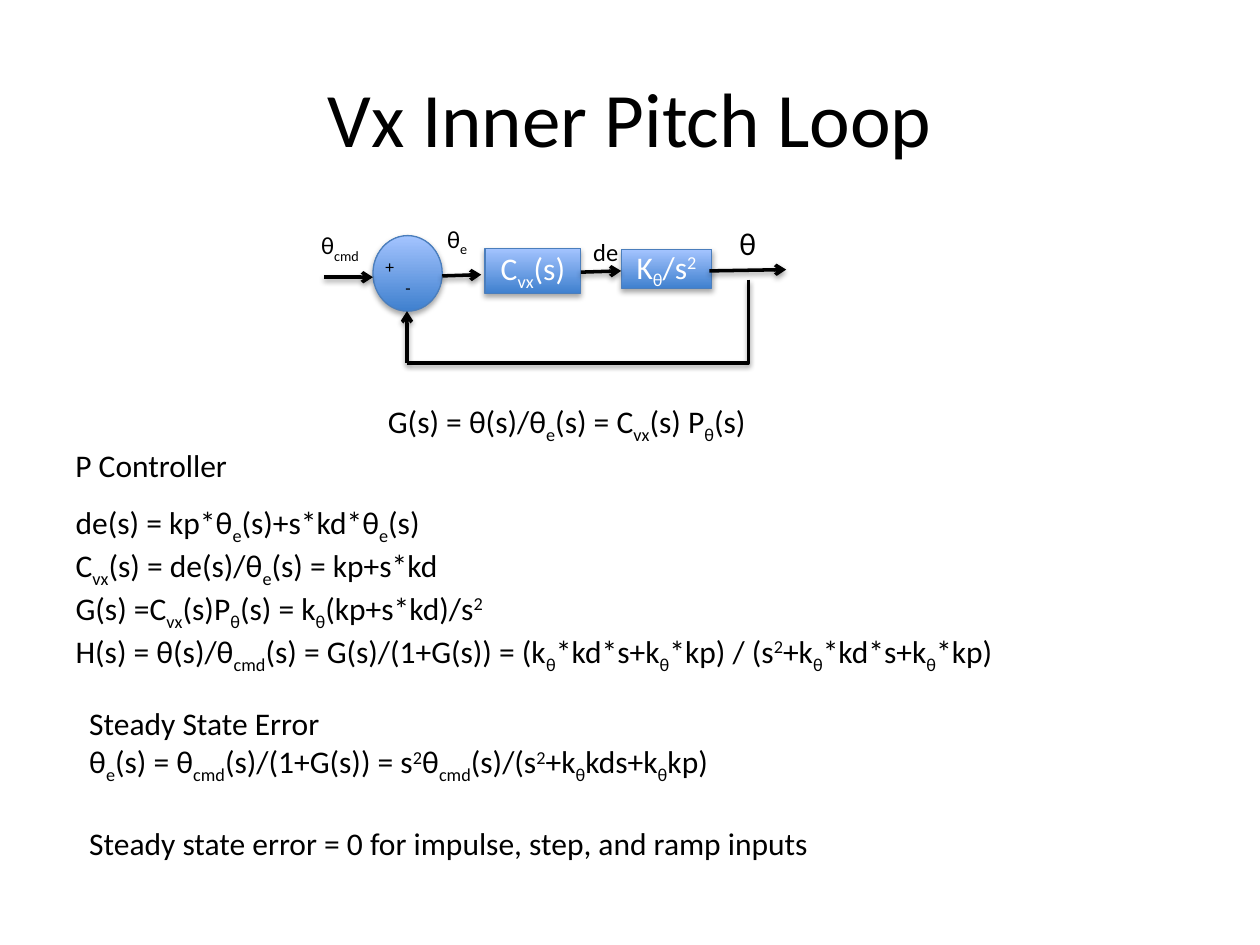
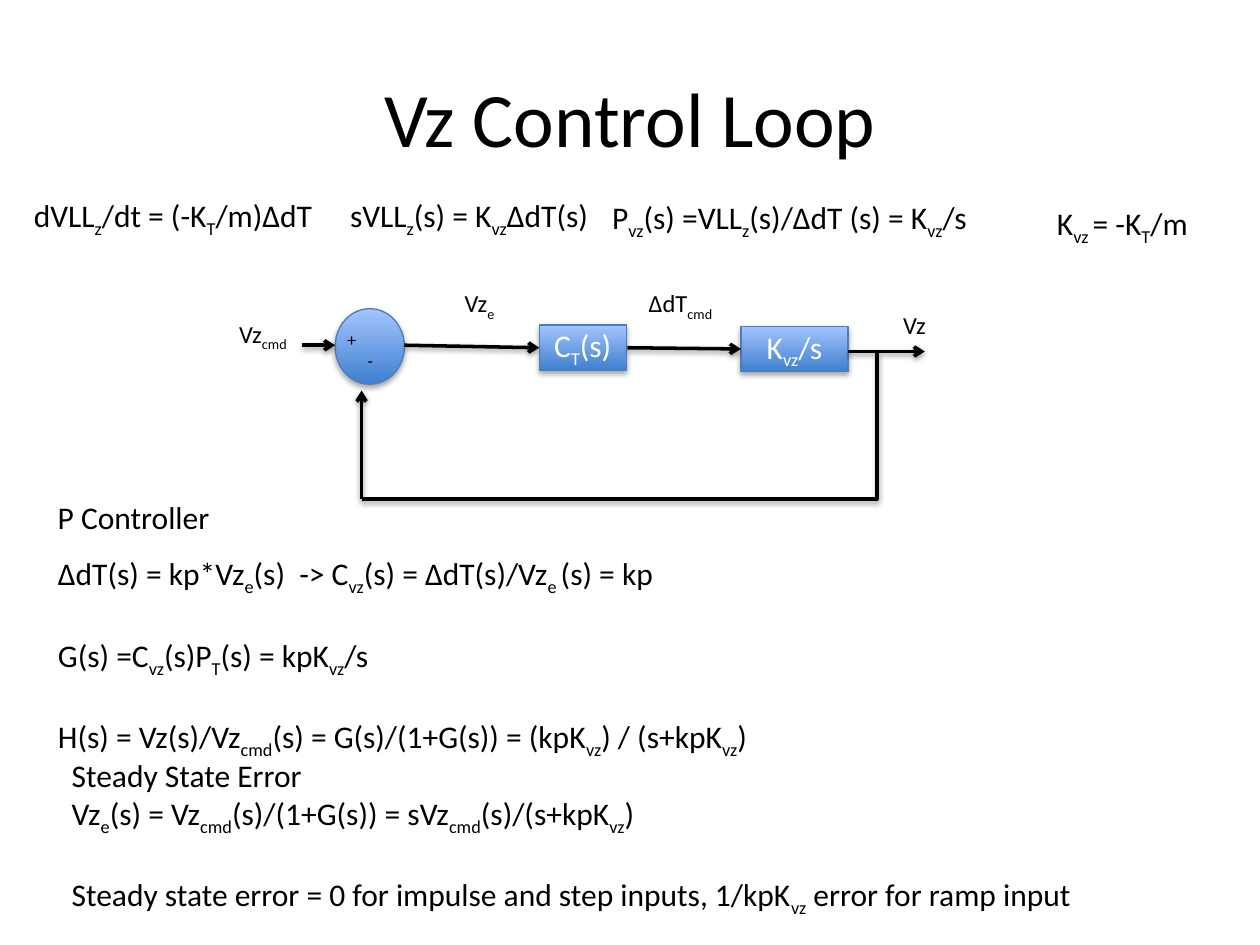
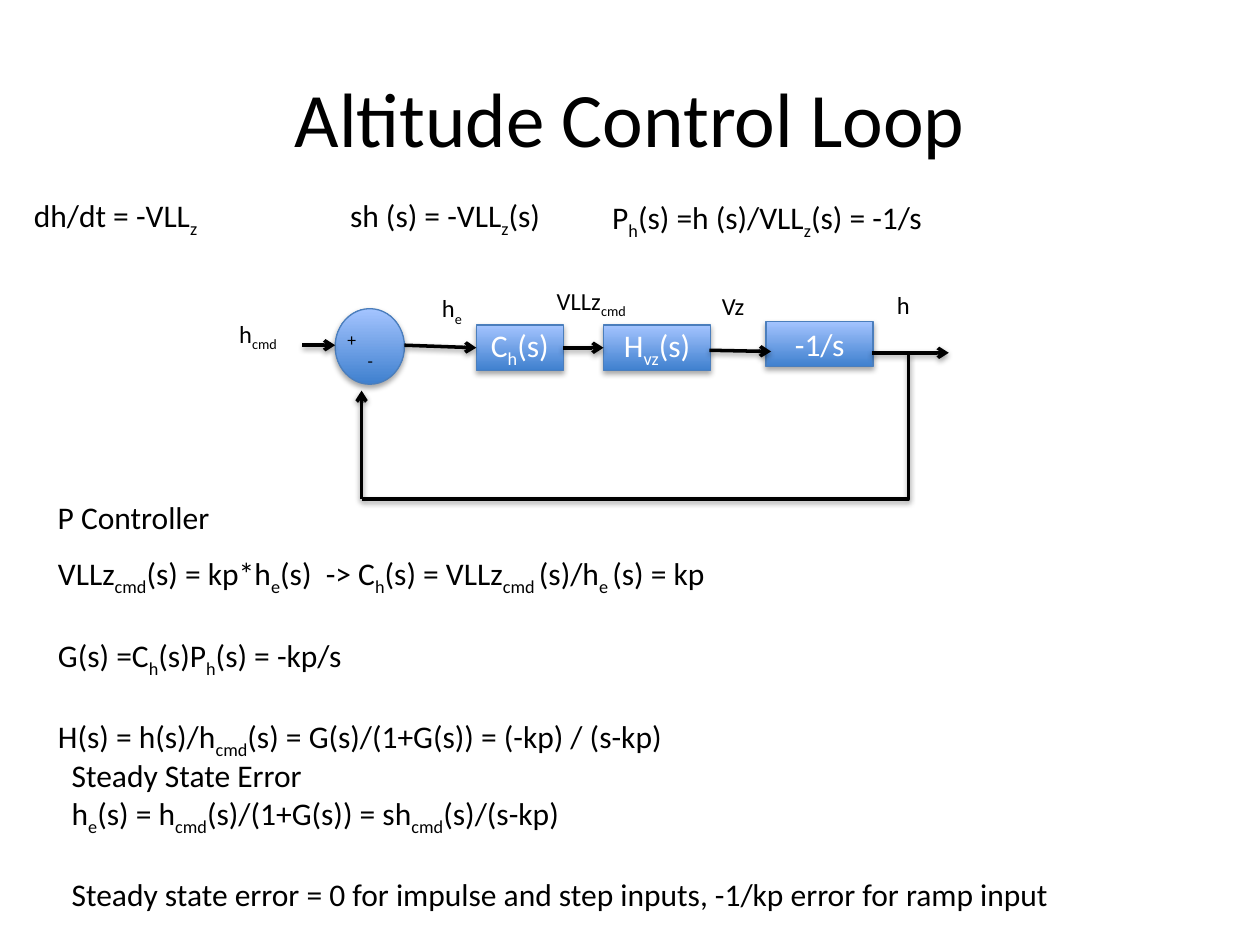
from dataclasses import dataclass

from lxml import etree
from pptx import Presentation
from pptx.dml.color import RGBColor
from pptx.enum.shapes import MSO_CONNECTOR, MSO_SHAPE
from pptx.enum.text import MSO_ANCHOR, MSO_AUTO_SIZE, PP_ALIGN
from pptx.oxml.ns import qn
from pptx.util import Inches, Pt

RECT, OVAL = MSO_SHAPE.RECTANGLE, MSO_SHAPE.OVAL
LINE, ELBOW = MSO_CONNECTOR.STRAIGHT, MSO_CONNECTOR.ELBOW
CENTER, MIDDLE = PP_ALIGN.CENTER, MSO_ANCHOR.MIDDLE
FIT, FIXED = MSO_AUTO_SIZE.SHAPE_TO_FIT_TEXT, MSO_AUTO_SIZE.NONE


@dataclass(frozen=True)
class Theme:
    """Colours, font and type sizes of the deck."""
    font: str = "Calibri"
    ink: RGBColor = RGBColor(0, 0, 0)
    white: RGBColor = RGBColor(255, 255, 255)
    deep: RGBColor = RGBColor(0x3F, 0x80, 0xCE)
    pale: RGBColor = RGBColor(0xA4, 0xC4, 0xFF)
    edge: RGBColor = RGBColor(0x4B, 0x7E, 0xBC)
    title: int = 44
    body: int = 18
    label: int = 14
    sign: int = 10
    gap: int = 22


@dataclass(frozen=True)
class Box:
    """A region in inches."""
    x: float
    y: float
    w: float
    h: float

    def inner(self, x, y, w, h):
        """Return a box placed relative to this one."""
        return Box(self.x + x, self.y + y, w, h)

    def emu(self):
        """Return left, top, width and height as lengths."""
        return [Inches(n) for n in (self.x, self.y, self.w, self.h)]


THEME = Theme()
BASE = {"_": "-25000", "^": "30000"}
TITLE = Box(0.5, 0.3, 9, 1.25)


def add_runs(para, text, size, color):
    """Add runs, where {_x} is a subscript and {^x} a superscript."""
    for chunk in text.split("{"):
        mark, brace, rest = chunk.partition("}")
        pieces = [(mark[1:], BASE[mark[0]]), (rest, None)] if brace else [(chunk, None)]
        for words, base in pieces:
            if not words:
                continue
            run = para.add_run()
            run.text = words
            run.font.name, run.font.size = THEME.font, Pt(size)
            run.font.color.rgb = color
            if base:
                run.font._element.set("baseline", base)


def fill_text(frame, lines, size=THEME.body, color=THEME.ink, gaps=(), align=None):
    """Write one paragraph a line, with a wide gap before those in gaps."""
    for i, line in enumerate(lines):
        para = frame.add_paragraph() if i else frame.paragraphs[0]
        para.alignment = align
        para.space_before = Pt(THEME.gap if i in gaps else 0)
        add_runs(para, line, size, color)


def add_note(shapes, box, lines, size=THEME.body, wrap=False, gaps=()):
    """Add a text box that grows with its lines."""
    note = shapes.add_textbox(*box.emu())
    frame = note.text_frame
    frame.word_wrap, frame.auto_size = wrap, FIT
    fill_text(frame, lines, size, gaps=gaps)
    return note


def add_shade(shape, alpha, dist):
    """Add a soft shadow below a shape or line."""
    effects = etree.SubElement(shape._element.spPr, qn("a:effectLst"))
    outer = etree.SubElement(effects, qn("a:outerShdw"), blurRad="40000",
                             dist=str(dist), dir="5400000", rotWithShape="0")
    black = etree.SubElement(outer, qn("a:srgbClr"), val=str(THEME.ink))
    etree.SubElement(black, qn("a:alpha"), val=str(alpha))


def add_node(shapes, kind, box):
    """Add a shaded blue shape."""
    node = shapes.add_shape(kind, *box.emu())
    node.fill.gradient()
    node.fill.gradient_angle = 90
    for stop, color in zip(node.fill.gradient_stops, (THEME.deep, THEME.pale)):
        stop.color.rgb = color
    node.line.color.rgb, node.line.width = THEME.edge, Pt(0.75)
    add_shade(node, 35000, 23000)
    return node


def add_block(shapes, box, text):
    """Add a transfer function block."""
    frame = add_node(shapes, RECT, box).text_frame
    frame.vertical_anchor = MIDDLE
    fill_text(frame, [text], color=THEME.white, align=CENTER)


def add_wire(shapes, box, ends, kind=LINE, arrow=True):
    """Add a signal line between two points of the box."""
    x1, y1, x2, y2 = ends
    wire = shapes.add_connector(kind, Inches(box.x + x1), Inches(box.y + y1),
                                Inches(box.x + x2), Inches(box.y + y2))
    wire.line.color.rgb, wire.line.width = THEME.ink, Pt(2)
    if arrow:
        etree.SubElement(wire.line._get_or_add_ln(), qn("a:tailEnd"), type="arrow")
    add_shade(wire, 38000, 20000)
    return wire


def add_sum(slide, box):
    """Add the summing circle with its signs."""
    shapes = slide.shapes.add_group_shape().shapes
    add_node(shapes, OVAL, box)
    signs = add_note(shapes, box.inner(0, 0.11, 0.4, 0.44), ["+", "-"], THEME.sign)
    signs.text_frame.paragraphs[1]._p.get_or_add_pPr().set("marL", str(Inches(0.16)))


def add_return(slide, box, tap, foot):
    """Add the feedback line from the tap round to the arrow at the foot."""
    shapes = slide.shapes.add_group_shape().shapes
    bend = add_wire(shapes, box, (*tap, foot[0], box.h), ELBOW, False)
    geom = bend._element.spPr.find(qn("a:prstGeom"))
    rules = geom.find(qn("a:avLst"))
    etree.SubElement(rules, qn("a:gd"), name="adj1", fmla="val 0")
    add_wire(shapes, box, (foot[0], box.h, *foot))


def add_loop(slide, box, hub, blocks, wires, labels, tap, foot):
    """Draw a control loop inside the box."""
    for x, y, w, h, text in blocks:
        add_block(slide.shapes, box.inner(x, y, w, h), text)
    add_sum(slide, box.inner(*hub, 0.55, 0.6))
    for ends in wires:
        add_wire(slide.shapes, box, ends)
    for x, y, w, text, size in labels:
        add_note(slide.shapes, box.inner(x, y, w, 0.34), [text], size)
    add_return(slide, box, tap, foot)


def add_steps(slide, box, lines, gaps=()):
    """Put the derivation in the body placeholder, under its heading."""
    add_note(slide.shapes, box.inner(0, -0.45, 1.42, 0.4), ["P Controller"])
    body = slide.placeholders[1]
    body.left, body.top, body.width, body.height = box.emu()
    body.text_frame.auto_size = FIXED
    fill_text(body.text_frame, lines, gaps=gaps)
    for para in body.text_frame.paragraphs:
        props = para._p.get_or_add_pPr()
        props.set("marL", "0")
        props.set("indent", "0")
        etree.SubElement(props, qn("a:buNone"))


def add_error(slide, box, lines):
    """Add the steady state error and its conclusion."""
    add_note(slide.shapes, box, ["Steady State Error", *lines], wrap=True, gaps=(2,))


def add_page(deck, title):
    """Add a slide with its title."""
    slide = deck.slides.add_slide(deck.slide_layouts[1])
    head = slide.shapes.title
    head.left, head.top, head.width, head.height = TITLE.emu()
    head.text_frame.vertical_anchor = MIDDLE
    fill_text(head.text_frame, [title], THEME.title, align=CENTER)
    return slide


def pitch_page(deck):
    """Build the inner pitch loop slide."""
    slide = add_page(deck, "Vx Inner Pitch Loop")
    add_loop(
        slide, Box(2.45, 1.73, 3.79, 1.15), (0.51, 0.14),
        [(1.4, 0.24, 0.76, 0.36, "C{_vx}(s)"), (2.48, 0.25, 0.72, 0.31, "K{_θ}/s{^2}")],
        [(0.12, 0.47, 0.51, 0.47), (1.06, 0.46, 1.37, 0.45),
         (2.16, 0.43, 2.48, 0.42), (3.18, 0.42, 3.79, 0.41)],
        [(0, 0.05, 0.54, "θ{_cmd}", THEME.label), (1, 0, 0.37, "θ{_e}", THEME.label),
         (2.16, 0.1, 0.4, "de", THEME.label), (3.32, 0, 0.34, "θ", THEME.body)],
        (3.49, 0.49), (0.78, 0.74))
    add_note(slide.shapes, Box(2.98, 3.14, 3.11, 0.4),
             ["G(s) = θ(s)/θ{_e}(s) = C{_vx}(s) P{_θ}(s)"])
    add_steps(slide, Box(0.5, 3.94, 7.66, 1.31), [
        "de(s) = kp*θ{_e}(s)+s*kd*θ{_e}(s)",
        "C{_vx}(s) = de(s)/θ{_e}(s) = kp+s*kd",
        "G(s) =C{_vx}(s)P{_θ}(s) = k{_θ}(kp+s*kd)/s{^2}",
        "H(s) = θ(s)/θ{_cmd}(s) = G(s)/(1+G(s)) = "
        "(k{_θ}*kd*s+k{_θ}*kp) / (s{^2}+k{_θ}*kd*s+k{_θ}*kp)"])
    add_error(slide, Box(0.61, 5.54, 6.35, 1.31), [
        "θ{_e}(s) = θ{_cmd}(s)/(1+G(s)) = s{^2}θ{_cmd}(s)/(s{^2}+k{_θ}kds+k{_θ}kp)",
        "Steady state error = 0 for impulse, step, and ramp inputs"])


def outer_page(deck, title, plant, blocks, wires, labels, tap, steps, error):
    """Build an outer loop slide with its plant equations on top."""
    slide = add_page(deck, title)
    for x, y, w, text in plant:
        add_note(slide.shapes, Box(x, y, w, 0.4), [text])
    add_loop(slide, Box(1.8, 2.22, 5.73, 1.74), (0.86, 0.23), blocks,
             [(0.6, 0.52, 0.86, 0.52), *wires],
             [(*label, THEME.label) for label in labels], (tap, 0.58), (1.07, 0.88))
    add_steps(slide, Box(0.36, 4.35, 5.8, 1.62), steps, gaps=(1, 2))
    add_error(slide, Box(0.47, 5.95, 8.52, 1.31), error)


def speed_page(deck):
    """Build the vertical speed loop slide."""
    outer_page(
        deck, "Vz Control Loop",
        [(0.17, 1.51, 2.46, "dVLL{_z}/dt = (-K{_T}/m)ΔdT"),
         (2.68, 1.51, 2.37, "sVLL{_z}(s) = K{_vz}ΔdT(s)"),
         (4.76, 1.52, 3.18, "P{_vz}(s) =VLL{_z}(s)/ΔdT (s) = K{_vz}/s"),
         (8.29, 1.57, 1.29, "K{_vz }= -K{_T}/m")],
        [(2.48, 0.36, 0.69, 0.36, "C{_T}(s)"), (4.08, 0.37, 0.85, 0.36, "K{_vz}/s")],
        [(1.41, 0.52, 2.48, 0.54), (3.18, 0.54, 4.08, 0.55), (4.93, 0.57, 5.54, 0.57)],
        [(0, 0.26, 0.62, "Vz{_cmd}"), (1.79, 0.02, 0.46, "Vz{_e}"),
         (3.25, 0.02, 0.75, "ΔdT{_cmd}"), (5.27, 0.19, 0.39, "Vz")],
        5.16,
        ["ΔdT(s) = kp*Vz{_e}(s)  -> C{_vz}(s) = ΔdT(s)/Vz{_e }(s) = kp",
         "G(s) =C{_vz}(s)P{_T}(s) = kpK{_vz}/s",
         "H(s) = Vz(s)/Vz{_cmd}(s) = G(s)/(1+G(s)) = (kpK{_vz}) / (s+kpK{_vz})"],
        ["Vz{_e}(s) = Vz{_cmd}(s)/(1+G(s)) = sVz{_cmd}(s)/(s+kpK{_vz})",
         "Steady state error = 0 for impulse and step inputs, "
         "1/kpK{_vz} error for ramp input"])


def height_page(deck):
    """Build the altitude loop slide."""
    outer_page(
        deck, "Altitude Control Loop",
        [(0.17, 1.51, 1.52, "dh/dt = -VLL{_z}"),
         (2.68, 1.51, 2.37, "sh (s) = -VLL{_z}(s)"),
         (4.76, 1.52, 2.71, "P{_h}(s) =h (s)/VLL{_z}(s) = -1/s")],
        [(1.98, 0.36, 0.69, 0.36, "C{_h}(s)"), (2.99, 0.36, 0.85, 0.36, "H{_vz}(s)"),
         (4.28, 0.33, 0.85, 0.36, "-1/s")],
        [(1.41, 0.52, 1.98, 0.54), (2.67, 0.54, 2.99, 0.54),
         (3.83, 0.56, 4.32, 0.57), (5.12, 0.58, 5.73, 0.58)],
        [(0, 0.26, 0.53, "h{_cmd}"), (1.61, 0.06, 0.37, "h{_e}"),
         (2.52, 0, 0.78, "VLLz{_cmd}"), (3.83, 0.04, 0.39, "Vz"), (5.22, 0.03, 0.31, "h")],
        5.41,
        ["VLLz{_cmd}(s) = kp*h{_e}(s)  -> C{_h}(s) = VLLz{_cmd }(s)/h{_e }(s) = kp",
         "G(s) =C{_h}(s)P{_h}(s) = -kp/s",
         "H(s) = h(s)/h{_cmd}(s) = G(s)/(1+G(s)) = (-kp) / (s-kp)"],
        ["h{_e}(s) = h{_cmd}(s)/(1+G(s)) = sh{_cmd}(s)/(s-kp)",
         "Steady state error = 0 for impulse and step inputs, -1/kp error for ramp input"])


def main():
    """Build the deck and save it."""
    deck = Presentation()
    deck.slide_width, deck.slide_height = Inches(10), Inches(7.5)
    for build in (pitch_page, speed_page, height_page):
        build(deck)
    deck.save("out.pptx")


if __name__ == "__main__":
    main()
